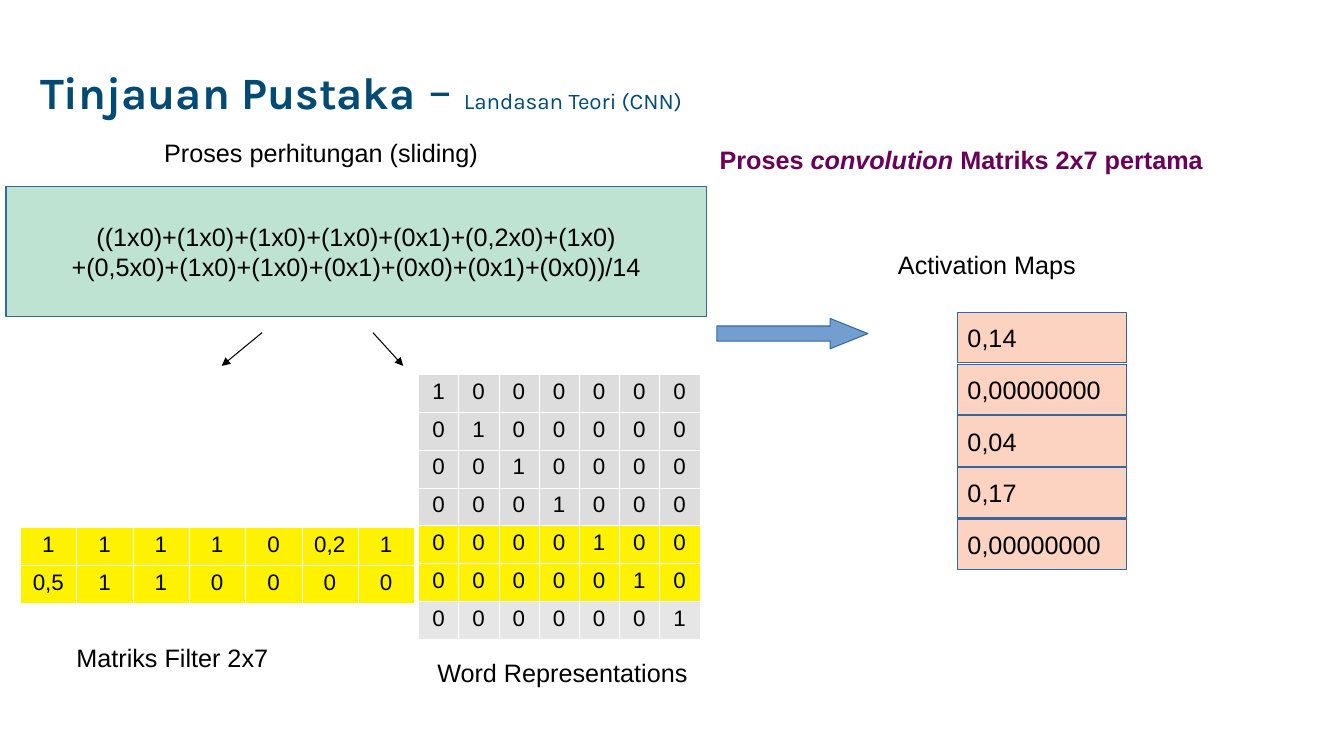
from dataclasses import dataclass

import pptx
import pptx.dml.color
import pptx.enum.shapes
import pptx.enum.text
import pptx.oxml
import pptx.oxml.ns
import pptx.util
from lxml import etree

ANCHOR = pptx.enum.text.MSO_ANCHOR
ALIGN = pptx.enum.text.PP_ALIGN
SHAPE = pptx.enum.shapes.MSO_SHAPE

COLORS = {
    "heading": "014A73",
    "step": "680059",
    "text": "000000",
    "outline": "3465A4",
    "formula": "BEE3D3",
    "flow": "729FCF",
    "activation": "FCD3C1",
    "word": "DDDDDD",
    "last_word": "E6E6E6",
    "window": "FFF200",
    "border": "FFFFFF",
}

presentation = pptx.Presentation()
presentation.slide_width = pptx.util.Inches(13.33)
presentation.slide_height = pptx.util.Inches(7.5)
slide = presentation.slides.add_slide(presentation.slide_layouts[6])


@dataclass(frozen=True)
class Area:
    """Left and width in percent of slide width, top and height of slide height."""
    left: float
    top: float
    width: float
    height: float


@dataclass(frozen=True)
class Run:
    text: str
    size: int = 18
    color: str = "text"
    bold: bool = False
    italic: bool = False
    font: str = "Arial"


@dataclass(frozen=True)
class Label:
    area: Area
    runs: tuple[Run, ...]
    anchor: ANCHOR = ANCHOR.TOP
    line_spacing: float = 1.0


@dataclass(frozen=True)
class Matrix:
    area: Area
    rows: list[list[str]]
    fills: list[str]


def across(percent: float) -> int:
    return round(presentation.slide_width * percent / 100)


def down(percent: float) -> int:
    return round(presentation.slide_height * percent / 100)


def place(area: Area) -> tuple[int, int, int, int]:
    return across(area.left), down(area.top), across(area.width), down(area.height)


def rgb(name: str) -> pptx.dml.color.RGBColor:
    return pptx.dml.color.RGBColor.from_string(COLORS[name])


def write(paragraph, runs: tuple[Run, ...], align: ALIGN = ALIGN.LEFT) -> None:
    paragraph.alignment = align
    for item in runs:
        run = paragraph.add_run()
        run.text = item.text
        run.font.name = item.font
        run.font.size = pptx.util.Pt(item.size)
        run.font.bold = item.bold
        run.font.italic = item.italic
        run.font.color.rgb = rgb(item.color)


def draw_label(label: Label) -> None:
    frame = slide.shapes.add_textbox(*place(label.area)).text_frame
    frame.word_wrap = True
    frame.vertical_anchor = label.anchor
    frame.paragraphs[0].line_spacing = label.line_spacing
    write(frame.paragraphs[0], label.runs)


def draw_block(area: Area, fill: str, lines: tuple[str, ...] = (),
               align: ALIGN = ALIGN.LEFT, kind: SHAPE = SHAPE.RECTANGLE):
    block = slide.shapes.add_shape(kind, *place(area))
    block.shadow.inherit = False
    block.fill.solid()
    block.fill.fore_color.rgb = rgb(fill)
    block.line.color.rgb = rgb("outline")
    block.line.width = pptx.util.Pt(0.75)
    frame = block.text_frame
    frame.word_wrap = True
    frame.vertical_anchor = ANCHOR.MIDDLE
    for index, line in enumerate(lines):
        paragraph = frame.add_paragraph() if index else frame.paragraphs[0]
        write(paragraph, (Run(line),), align)
    return block


def draw_matrix(matrix: Matrix) -> None:
    row_count, column_count = len(matrix.rows), len(matrix.rows[0])
    table = slide.shapes.add_table(row_count, column_count, *place(matrix.area)).table
    table.first_row = table.horz_banding = False
    for column in table.columns:
        column.width = across(matrix.area.width / column_count)
    for row, values, fill in zip(table.rows, matrix.rows, matrix.fills):
        row.height = down(matrix.area.height / row_count)
        for cell, value in zip(row.cells, values):
            properties = cell._tc.get_or_add_tcPr()
            for side in ("lnL", "lnR", "lnT", "lnB"):
                properties.append(pptx.oxml.parse_xml(
                    f'<a:{side} {pptx.oxml.ns.nsdecls("a")} w="762"><a:solidFill>'
                    f'<a:srgbClr val="{COLORS["border"]}"/></a:solidFill></a:{side}>'))
            cell.fill.solid()
            cell.fill.fore_color.rgb = rgb(fill)
            write(cell.text_frame.paragraphs[0], (Run(value, 16),), ALIGN.CENTER)


def draw_pointer(start: float, end: float, top: float, bottom: float) -> None:
    pointer = slide.shapes.add_connector(
        pptx.enum.shapes.MSO_CONNECTOR.STRAIGHT,
        across(start), down(top), across(end), down(bottom))
    pointer.line.color.rgb = rgb("text")
    pointer.line.width = pptx.util.Pt(0.75)
    etree.SubElement(pointer.line._get_or_add_ln(),
                     pptx.oxml.ns.qn("a:tailEnd"), type="triangle")
    etree.SubElement(pointer._element.spPr, pptx.oxml.ns.qn("a:effectLst"))


# Heading, step and captions
labels = [
    Label(Area(2.25, 2.67, 56.25, 19.33), (
        Run("Tinjauan Pustaka", 32, "heading", bold=True, font="Karla"),
        Run(" – ", 36, "heading", font="Karla"),
        Run("Landasan Teori (CNN)", 16, "heading", font="Karla"),
    ), ANCHOR.MIDDLE, 0.9),
    Label(Area(52.8, 18.4, 44.4, 8.8), (
        Run("Proses ", color="step", bold=True),
        Run("convolution", color="step", bold=True, italic=True),
        Run(" Matriks 2x7 pertama", color="step", bold=True),
    )),
    Label(Area(11.48, 17.47, 29.93, 5.07), (Run("Proses perhitungan (sliding)"),)),
    Label(Area(66.08, 32.27, 17.55, 5.07), (Run("Activation Maps"),)),
    Label(Area(4.95, 84.27, 17.7, 5.07), (Run("Matriks Filter 2x7"),)),
    Label(Area(31.8, 86.27, 23.25, 5.07), (Run("Word Representations"),)),
]
for caption in labels:
    draw_label(caption)

# One-hot words and the filter that slides over them
WORDS = 7
one_hot = [[str(int(row == column)) for column in range(WORDS)] for row in range(WORDS)]
draw_matrix(Matrix(Area(31.13, 49.47, 20.93, 35.07), one_hot,
                   ["word"] * 4 + ["window"] * 2 + ["last_word"]))
filter_weights = ["1 1 1 1 0 0,2 1".split(), "0,5 1 1 0 0 0 0".split()]
draw_matrix(Matrix(Area(1.5, 69.73, 29.33, 10), filter_weights, ["window"] * 2))

# Calculation with pointers to both matrices
draw_block(Area(0.45, 24.67, 52.13, 17.2), "formula", (
    "((1x0)+(1x0)+(1x0)+(1x0)+(0x1)+(0,2x0)+(1x0)",
    "+(0,5x0)+(1x0)+(1x0)+(0x1)+(0x0)+(0x1)+(0x0))/14",
), ALIGN.CENTER)
for pointer_start, pointer_end in ((19.5, 16.5), (27.75, 30)):
    draw_pointer(pointer_start, pointer_end, 44, 48.4)

# Flow to the activation maps
flow = draw_block(Area(53.33, 42.13, 11.25, 4), "flow", kind=SHAPE.RIGHT_ARROW)
flow.adjustments[0] = 0.5
flow.adjustments[1] = 1.25
for step, activation in enumerate(("0,14", "0,00000000", "0,04", "0,17", "0,00000000")):
    draw_block(Area(71.25, 41.33 + 6.83 * step, 12.6, 6.67), "activation", (activation,))

presentation.save("out.pptx")
